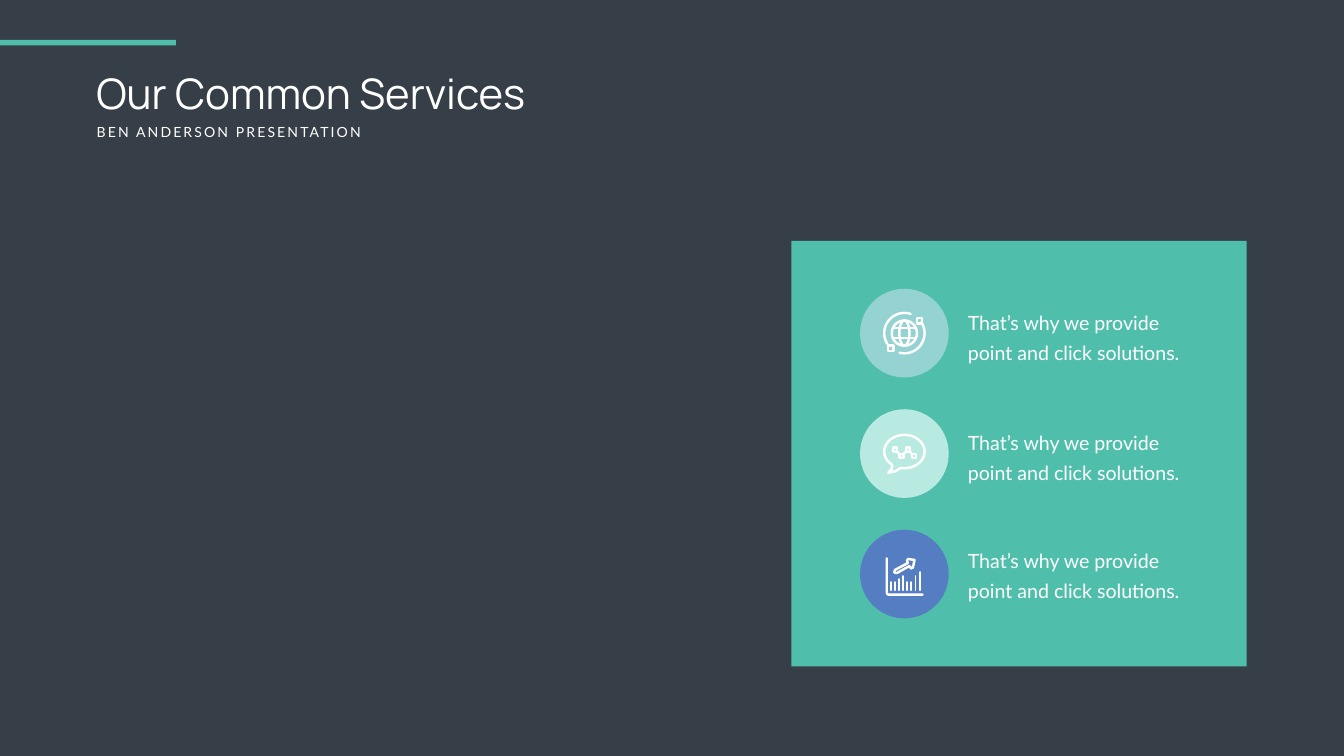
import math

from lxml import etree
from pptx import Presentation
from pptx import util as u
from pptx.dml.color import RGBColor
from pptx.enum import shapes, text
from pptx.oxml import ns

DARK, TEAL, WHITE = "363E48", "4FBFAC", "FFFFFF"
SERVICE = "That’s why we provide point and click solutions."
CIRCLE_SIZE = 1.76


def colour(value):
    return RGBColor.from_string(value)


def write(box, wording, size, font="Lato", line_spacing=None, tracking=0,
          anchor=text.MSO_ANCHOR.TOP, inset=0.05):
    """Fill a text box or placeholder; tracking is in points."""
    frame = box.text_frame
    frame.word_wrap = True
    frame.auto_size = text.MSO_AUTO_SIZE.NONE
    frame.vertical_anchor = anchor
    frame.margin_left = frame.margin_right = u.Inches(0.1)
    frame.margin_top = frame.margin_bottom = u.Inches(inset)
    para = frame.paragraphs[0]
    para.alignment = text.PP_ALIGN.LEFT
    if line_spacing:
        para.line_spacing = u.Pt(line_spacing)
    span = para.add_run()
    span.text = wording
    span.font.size = u.Pt(size)
    span.font.name = font
    span.font.color.rgb = colour(WHITE)
    if tracking:
        span._r.get_or_add_rPr().set("spc", str(tracking * 100))


def add_text(parent, left, top, width, height, wording, size, **style):
    box = parent.shapes.add_textbox(*map(u.Inches, (left, top, width, height)))
    write(box, wording, size, **style)


def add_block(parent, kind, left, top, width, height, fill):
    block = parent.shapes.add_shape(kind, *map(u.Inches, (left, top, width, height)))
    block.shadow.inherit = False
    block.fill.solid()
    block.fill.fore_color.rgb = colour(fill)
    block.line.fill.background()


def format_stroke(stroke, width):
    stroke.line.width = u.Pt(width)
    stroke.line.color.rgb = colour(WHITE)
    outline = stroke.line._get_or_add_ln()
    outline.set("cap", "rnd")
    etree.SubElement(outline, ns.qn("a:round"))


def place(centre, point):
    return u.Inches(centre[0] + point[0]), u.Inches(centre[1] + point[1])


def add_outline(group, centre, *contours):
    """Draw one unfilled outline from contours given relative to centre."""
    builder = group.shapes.build_freeform(*place(centre, contours[0][0]))
    for i, contour in enumerate(contours):
        points = [place(centre, point) for point in contour]
        if i:
            builder.move_to(*points[0])
        builder.add_line_segments(points[1:], close=False)
    outline = builder.convert_to_shape()
    outline.fill.background()
    outline.shadow.inherit = False
    format_stroke(outline, 3.5)


def add_bar(group, centre, x, top, bottom):
    bar = group.shapes.add_connector(shapes.MSO_CONNECTOR.STRAIGHT,
                                     *place(centre, (x, top)), *place(centre, (x, bottom)))
    format_stroke(bar, 2.8)
    etree.SubElement(bar._element.spPr, ns.qn("a:effectLst"))


def arc(radius_x, radius_y, start=0, end=360, y=0):
    """Return points along an ellipse, clockwise, angles in degrees."""
    steps = 48
    angles = [math.radians(start + (end - start) * i / steps) for i in range(steps + 1)]
    return [(radius_x * math.cos(a), y + radius_y * math.sin(a)) for a in angles]


def closed(points):
    return points + points[:1]


def square(x, y, size):
    half = size / 2
    return closed([(x - half, y - half), (x + half, y - half),
                   (x + half, y + half), (x - half, y + half)])


def draw_globe(group, centre):
    parallels = [[(-0.23, y), (0.23, y)] for y in (-0.1, 0.1)]
    add_outline(group, centre, arc(0.25, 0.25), arc(0.1, 0.25), *parallels)
    for start, end, x, y in ((-33, 104, 0.3, -0.25), (147, 288, -0.27, 0.3)):
        add_outline(group, centre, arc(0.4, 0.4, start, end), square(x, y, 0.11))


def draw_speech_bubble(group, centre):
    tail = [(-0.18, 0.35), (-0.32, 0.38), (-0.25, 0.3)]
    add_outline(group, centre, closed(arc(0.4, 0.33, 127, 460, y=-0.04) + tail))
    nodes = [(-0.19, -0.08), (-0.06, 0.05), (0.07, -0.08), (0.19, 0.05)]
    links = []
    for (x1, y1), (x2, y2) in zip(nodes, nodes[1:]):
        rise = math.copysign(0.04, y2 - y1)
        links.append([(x1 + 0.04, y1 + rise), (x2 - 0.04, y2 - rise)])
    add_outline(group, centre, *[square(x, y, 0.08) for x, y in nodes], *links)


def draw_growth_chart(group, centre):
    add_outline(group, centre, [(-0.35, -0.31), (-0.35, 0.36), (-0.34, 0.4),
                                (-0.3, 0.41), (0.36, 0.41)])
    bar_tops = (0.16, 0.16, 0.1, 0.04, 0.16, 0.16, 0.04, -0.04)
    for i, top in enumerate(bar_tops):
        add_bar(group, centre, -0.26 + 0.08 * i, top, 0.32)
    arrow = [(0.2, -0.28), (0.07, -0.3), (0.05, -0.26), (0.07, -0.22), (-0.19, -0.08),
             (-0.2, -0.03), (-0.15, -0.02), (0.1, -0.16), (0.13, -0.11), (0.17, -0.13)]
    add_outline(group, centre, closed(arrow))


def add_service(page, top, text_top, fill, draw_icon):
    group = page.shapes.add_group_shape()
    left = 17.06
    add_block(group, shapes.MSO_SHAPE.OVAL, left, top, CIRCLE_SIZE, CIRCLE_SIZE, fill)
    draw_icon(group, (left + CIRCLE_SIZE / 2, top + CIRCLE_SIZE / 2))
    add_text(group, 19.1, text_top, 4.6, 1.25, SERVICE, 28, line_spacing=43)


def add_title(page, wording):
    title = page.shapes.title
    title.left, title.top = u.Inches(1.81), u.Inches(1.28)
    title.width, title.height = u.Inches(10.83), u.Inches(1.11)
    write(title, wording, 60, font="Manrope", anchor=text.MSO_ANCHOR.MIDDLE, inset=0)


def main():
    deck = Presentation()
    deck.slide_width, deck.slide_height = u.Inches(26.66), u.Inches(15)
    page = deck.slides.add_slide(deck.slide_layouts[5])
    page.background.fill.solid()
    page.background.fill.fore_color.rgb = colour(DARK)

    add_title(page, "Our Common Services")
    add_block(page, shapes.MSO_SHAPE.RECTANGLE, 0, 0.79, 3.49, 0.11, TEAL)
    add_text(page, 1.82, 2.4, 5.85, 0.44, "BEN ANDERSON PRESENTATION", 20, tracking=3)
    add_block(page, shapes.MSO_SHAPE.RECTANGLE, 15.7, 4.78, 9.03, 8.44, TEAL)

    services = [(5.99, "95D3D3", draw_globe),
                (8.37, "B9EAE1", draw_speech_bubble),
                (10.71, "557DC2", draw_growth_chart)]
    for row, (text_top, fill, draw_icon) in enumerate(services):
        add_service(page, 5.73 + 2.39 * row, text_top, fill, draw_icon)
    deck.save("out.pptx")


if __name__ == "__main__":
    main()
